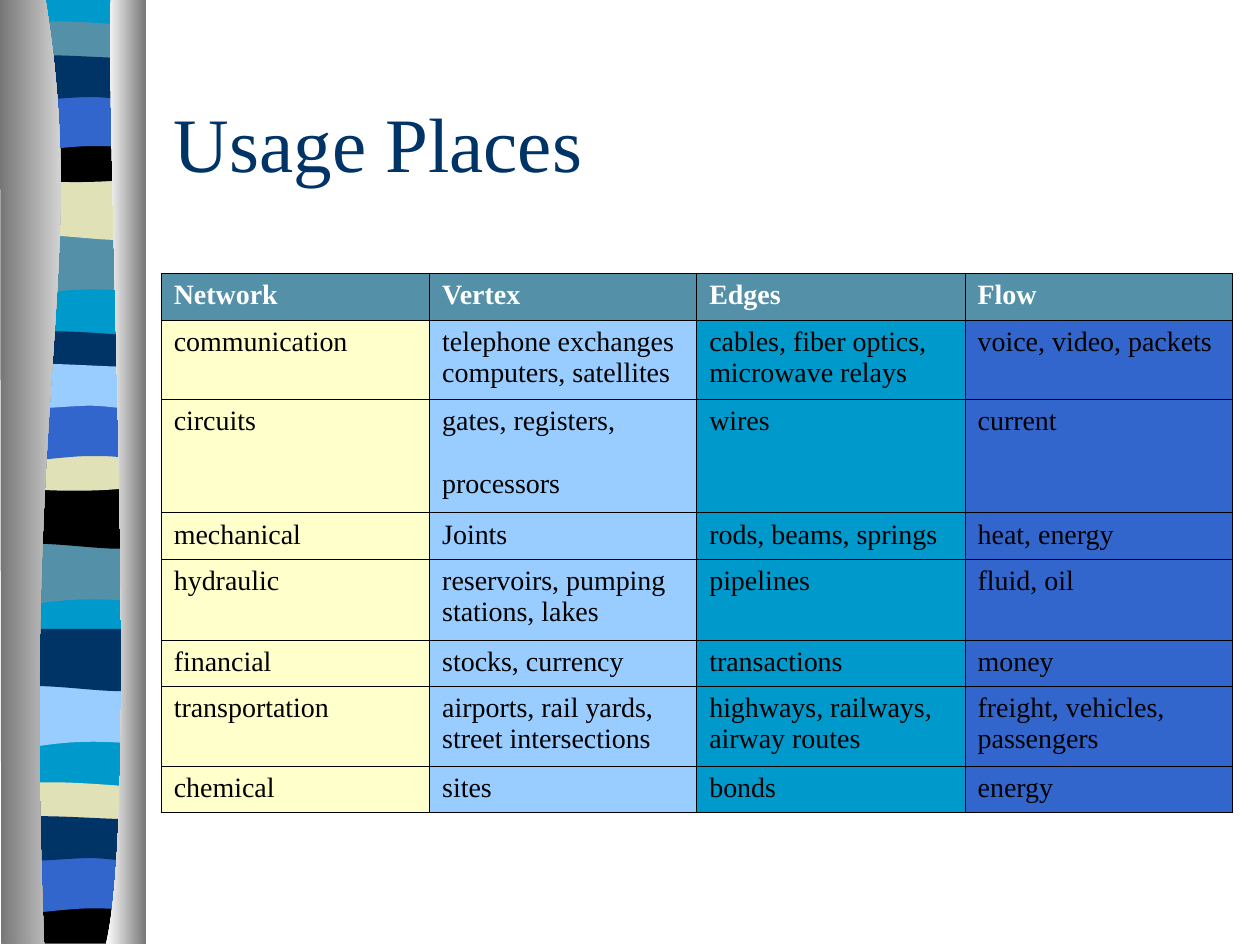
from dataclasses import dataclass

from lxml.etree import SubElement
from pptx import Presentation
from pptx.dml.color import RGBColor
from pptx.enum.text import MSO_ANCHOR, PP_ALIGN
from pptx.oxml import parse_xml
from pptx.oxml.ns import nsdecls, qn
from pptx.util import Pt

PX = 9144  # EMU in one px, 100 px to the inch


@dataclass(frozen=True)
class Theme:
    font: str = "Times New Roman"
    title_size: int = 44
    cell_size: int = 16
    border_width: float = 0.45
    navy: str = "003366"
    teal: str = "5490A8"
    cyan: str = "0099CC"
    blue: str = "3366CC"
    sky: str = "99CCFF"
    sand: str = "E1E1B7"
    cream: str = "FFFFCC"
    black: str = "000000"
    white: str = "FFFFFF"
    steel: str = "767676"


def bend(shape, outline):
    """Turn each run of three lines that stands for a curve into a cubic curve."""
    lines = iter(list(shape._element.iter(qn("a:lnTo"))))
    for part in outline[1:]:
        first = next(lines)
        if len(part) == 6:
            first.tag = qn("a:cubicBezTo")
            for line in (next(lines), next(lines)):
                first.append(line[0])
                line.getparent().remove(line)


class SlideBuilder:
    def __init__(self, slide, theme):
        self.slide = slide
        self.theme = theme
        self.ribbon = slide.shapes.add_group_shape()

    def add_text(self, paragraph, text, size, color, bold=False):
        run = paragraph.add_run()
        run.text = text
        run.font.name = self.theme.font
        run.font.size = Pt(size)
        run.font.bold = bold
        run.font.color.rgb = RGBColor.from_string(color)

    def title(self, text, left, top, width, height):
        shape = self.slide.shapes.title
        shape.left, shape.top = left * PX, top * PX
        shape.width, shape.height = width * PX, height * PX
        frame = shape.text_frame
        frame.word_wrap = True
        frame.vertical_anchor = MSO_ANCHOR.MIDDLE
        paragraph = frame.paragraphs[0]
        paragraph.alignment = PP_ALIGN.LEFT
        self.add_text(paragraph, text, self.theme.title_size, self.theme.navy)

    def outline(self, outline, colors, left=0, top=0):
        """Draw a closed outline of points and curves (six numbers), plain or shaded."""
        points = [(left + part[i], top + part[i + 1])
                  for part in outline for i in range(0, len(part), 2)]
        builder = self.ribbon.shapes.build_freeform(*points[0], scale=PX)
        builder.add_line_segments(points[1:], close=True)
        shape = builder.convert_to_shape()
        bend(shape, outline)
        shape.shadow.inherit = False
        shape.line.fill.background()
        if len(colors) == 1:
            shape.fill.solid()
            shape.fill.fore_color.rgb = RGBColor.from_string(colors[0])
        else:
            shape.fill.gradient()
            shape.fill.gradient_angle = 0
            for position, (stop, color) in enumerate(zip(shape.fill.gradient_stops, colors)):
                stop.position = position
                stop.color.rgb = RGBColor.from_string(color)

    def table(self, rows, left, top, widths, heights, column_fills):
        frame = self.slide.shapes.add_table(
            len(rows), len(widths), left * PX, top * PX,
            sum(widths) * PX, sum(heights) * PX)
        table = frame.table
        table.horz_banding = False
        for column, width in zip(table.columns, widths):
            column.width = width * PX
        for row, height in zip(table.rows, heights):
            row.height = height * PX
        for row_index, row in enumerate(rows):
            header = row_index == 0
            for column_index, text in enumerate(row):
                fill = self.theme.teal if header else column_fills[column_index]
                self.cell(table.cell(row_index, column_index), text, fill, header)

    def cell(self, cell, text, fill, header):
        color = self.theme.white if header else self.theme.black
        cell.fill.solid()
        cell.fill.fore_color.rgb = RGBColor.from_string(fill)
        self.borders(cell)
        for index, line in enumerate(text.split("\n")):
            frame = cell.text_frame
            paragraph = frame.add_paragraph() if index else frame.paragraphs[0]
            properties = paragraph._p.get_or_add_pPr()
            properties.set("marL", str(38 * PX))
            properties.set("indent", str(-38 * PX))
            if line == "processors":  # stands one line lower
                paragraph.space_before = Pt(18)
            self.add_text(paragraph, line, self.theme.cell_size, color, header)

    def borders(self, cell):
        properties = cell._tc.get_or_add_tcPr()
        for index, side in enumerate(("lnL", "lnR", "lnT", "lnB")):
            line = parse_xml(f"<a:{side} {nsdecls('a')}/>")
            line.set("w", str(Pt(self.theme.border_width)))
            fill = SubElement(line, qn("a:solidFill"))
            SubElement(fill, qn("a:srgbClr")).set("val", self.theme.black)
            properties.insert(index, line)


# Band outlines, measured from the left end of the band's top edge
WAVE = [(108, 0), (108, 47), (33, 39, 18, 55, 0, 47), (0, 0)]
SWELL = [(108, 0), (108, 47), (90, 55, 33, 41, 0, 47), (0, 0)]
DOME = [(108, 0), (108, 24), (90, 28, 18, 28, 0, 24), (0, 0),
        (6, -5, 23, -4, 41, -4), (59, -4, 94, -1, 108, 0)]
SCOOP = [(108, 0), (108, 32), (90, 38, 18, 38, 0, 32), (0, 0), (66, 5, 85, 0, 108, 0)]
ARCH = [(108, 0), (108, 47), (91, 42, 84, 42, 66, 42), (48, 42, 16, 47, 0, 47), (0, 0)]
RIPPLE = [(108, 0), (108, 31), (101, 36, 84, 31, 66, 31), (48, 31, 11, 36, 0, 31),
          (0, 0), (15, -5, 73, 0, 91, 0), (109, 0, 104, 0, 108, 0)]
BASE = [(108, 0), (108, 37), (0, 37), (0, 0), (66, 5, 85, 0, 108, 0)]

ROWS = [
    ("Network", "Vertex", "Edges", "Flow"),
    ("communication", "telephone exchanges\ncomputers, satellites",
     "cables, fiber optics,\nmicrowave relays", "voice, video, packets"),
    ("circuits", "gates, registers,\nprocessors", "wires", "current"),
    ("mechanical", "Joints", "rods, beams, springs", "heat, energy"),
    ("hydraulic", "reservoirs, pumping\nstations, lakes", "pipelines", "fluid, oil"),
    ("financial", "stocks, currency", "transactions", "money"),
    ("transportation", "airports, rail yards,\nstreet intersections",
     "highways, railways,\nairway routes", "freight, vehicles,\npassengers"),
    ("chemical", "sites", "bonds", "energy"),
]


def main():
    theme = Theme()
    presentation = Presentation()
    presentation.slide_width, presentation.slide_height = 1000 * PX, 750 * PX
    slide = presentation.slides.add_slide(presentation.slide_layouts[5])
    builder = SlideBuilder(slide, theme)

    # Striped ribbon, back to front
    builder.outline([(114, -1), (114, 747), (6, 747), (6, -1)], [theme.cyan])
    bands = [
        (WAVE, 6, 185, theme.teal), (SWELL, 6, 141, theme.sand),
        (DOME, 6, 21, theme.teal), (SCOOP, 6, 108, theme.black),
        (ARCH, 6, 74, theme.blue), (RIPPLE, 6, 46, theme.navy),
        (WAVE, 5, 431, theme.teal), (SWELL, 5, 386, theme.black),
        (DOME, 5, 267, theme.navy), (SCOOP, 5, 353, theme.sand),
        (ARCH, 5, 320, theme.blue), (RIPPLE, 5, 291, theme.sky),
        (WAVE, 6, 544, theme.sky), (SWELL, 6, 499, theme.navy),
        (DOME, 5, 625, theme.sand), (BASE, 5, 712, theme.black),
        (ARCH, 5, 679, theme.blue), (RIPPLE, 5, 650, theme.navy),
    ]
    for band, left, top, color in bands:
        builder.outline(band, [color], left, top)

    # Metal edges on both sides of the ribbon
    builder.outline([(36, -1), (71, 216, 17, 296, 35, 749), (1, 749), (0, -1)],
                    [theme.steel, theme.white])
    builder.outline([(88, -1), (84, 125, 111, 646, 84, 749), (116, 749), (116, 0)],
                    [theme.white, theme.steel])

    # Title and table
    builder.title("Usage Places", 128, 50, 850, 125)
    builder.table(ROWS, 128, 217, [213, 212] * 2, [37, 63, 90, 37, 64, 37, 63, 37],
                  [theme.cream, theme.sky, theme.cyan, theme.blue])

    presentation.save("out.pptx")


if __name__ == "__main__":
    main()
